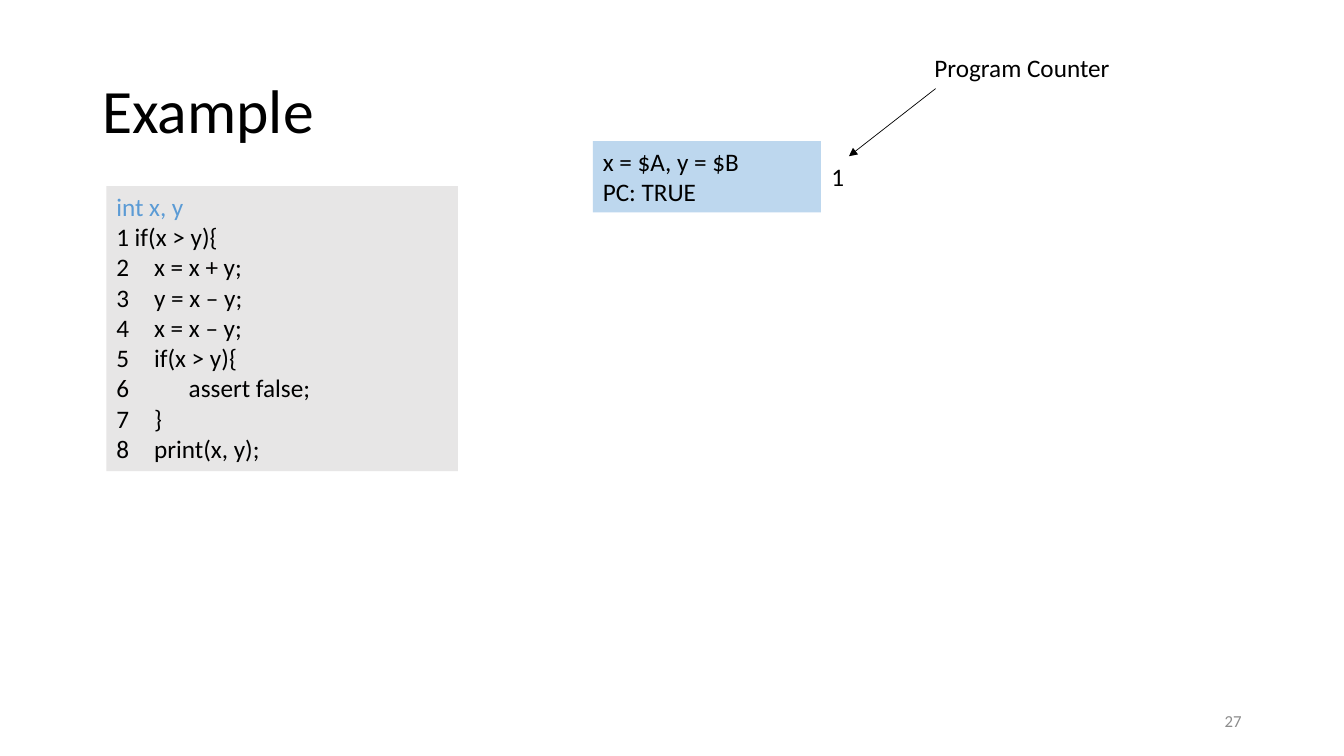
import pptx
import pptx.util
import pptx.dml.color
import pptx.enum.shapes
import pptx.enum.text
import pptx.oxml
import pptx.oxml.ns
import lxml.etree

Pt = pptx.util.Pt
ANCHOR = pptx.enum.text.MSO_ANCHOR
ALIGN = pptx.enum.text.PP_ALIGN
BLACK, BLUE, GREY = "000000", "5B9BD5", "8C8C8C"
STATE_FILL, CODE_FILL = "BDD7EE", "E7E6E6"


def color(hex_value):
    return pptx.dml.color.RGBColor.from_string(hex_value)


def add_xml(parent, tag, **attrs):
    return lxml.etree.SubElement(parent, pptx.oxml.ns.qn(tag), attrs)


def write_text(s, lines, size=18, ink=BLACK, anchor=ANCHOR.TOP, **paragraph_format):
    """Write one paragraph per line and return the paragraphs."""
    tf = s.text_frame
    tf.word_wrap = True
    tf.vertical_anchor = anchor
    paragraph_format = {"alignment": ALIGN.LEFT, **paragraph_format}
    for i, line in enumerate(lines):
        p = tf.paragraphs[0] if i == 0 else tf.add_paragraph()
        for name, value in paragraph_format.items():
            setattr(p, name, value)
        r = p.add_run()
        r.text = line
        for name, value in {"name": "Calibri", "size": Pt(size)}.items():
            setattr(r.font, name, value)
        r.font.color.rgb = color(ink)
    return tf.paragraphs


def add_text(slide, box, lines, **text_format):
    sp = slide.shapes.add_textbox(*map(Pt, box))
    return write_text(sp, lines, **text_format)


def add_panel(slide, box, fill, lines):
    sp = slide.shapes.add_shape(pptx.enum.shapes.MSO_SHAPE.RECTANGLE, *map(Pt, box))
    sp.shadow.inherit = False
    sp.fill.solid()
    sp.fill.fore_color.rgb = color(fill)
    sp.line.fill.background()
    return write_text(sp, lines)


def number_line(p, margin, start):
    """Number a code line, with its text set in by margin."""
    pPr = p._p.get_or_add_pPr()
    pPr.set("marL", str(Pt(margin)))
    pPr.set("indent", str(-Pt(margin)))
    add_xml(pPr, "a:buFont", typeface="+mj-lt")
    add_xml(pPr, "a:buAutoNum", type="arabicPlain", startAt=str(start))


def add_arrow(slide, start, end):
    line = slide.shapes.add_connector(
        pptx.enum.shapes.MSO_CONNECTOR.STRAIGHT, *map(Pt, (*start, *end)))
    line.line.color.rgb = color(BLACK)
    line.line.width = Pt(0.5)
    add_xml(line.line._get_or_add_ln(), "a:tailEnd", type="triangle")
    add_xml(line._element.spPr, "a:effectLst")


def code_listing(slide, box):
    code = ["int x, y", "1 if(x > y){", "x = x + y;", "y = x – y;", "x = x – y;",
            "if(x > y){", "assert false;", "}", "print(x, y);"]
    paragraphs = add_panel(slide, box, CODE_FILL, code)
    paragraphs[0].runs[0].font.color.rgb = color(BLUE)
    for p in paragraphs[2:]:
        nested = p.text.startswith("assert")
        number_line(p, 51.75 if nested else 27, start=2)


def program_state(slide, box):
    x, y, w, h = box
    # Symbolic values and path condition
    add_panel(slide, box, STATE_FILL, ["x = $A, y = $B", "PC: TRUE"])
    # Current line, with its label and pointer
    add_text(slide, (x + w + 0.5, y + 10.8, 20, 29), ["1"])
    add_arrow(slide, (x + 244.8, y - 37.5), (x + 182.9, y + 10.8))
    add_text(slide, (x + 236.9, y - 67, 156, 29), ["Program Counter"])


def build():
    prs = pptx.Presentation()
    prs.slide_width, prs.slide_height = Pt(960), Pt(540)
    slide = prs.slides.add_slide(prs.slide_layouts[6])
    # Title and slide number
    add_text(slide, (66, 28.75, 828, 104.4), ["Example"], size=44,
             anchor=ANCHOR.MIDDLE, line_spacing=0.9)
    add_text(slide, (678, 500.5, 216, 28.75), ["27"], size=12, ink=GREY,
             anchor=ANCHOR.MIDDLE, alignment=ALIGN.RIGHT)
    # Program state and code
    program_state(slide, (423.5, 100.8, 162.8, 50.9))
    code_listing(slide, (76, 133, 251.2, 203.6))
    prs.save("out.pptx")


build()
